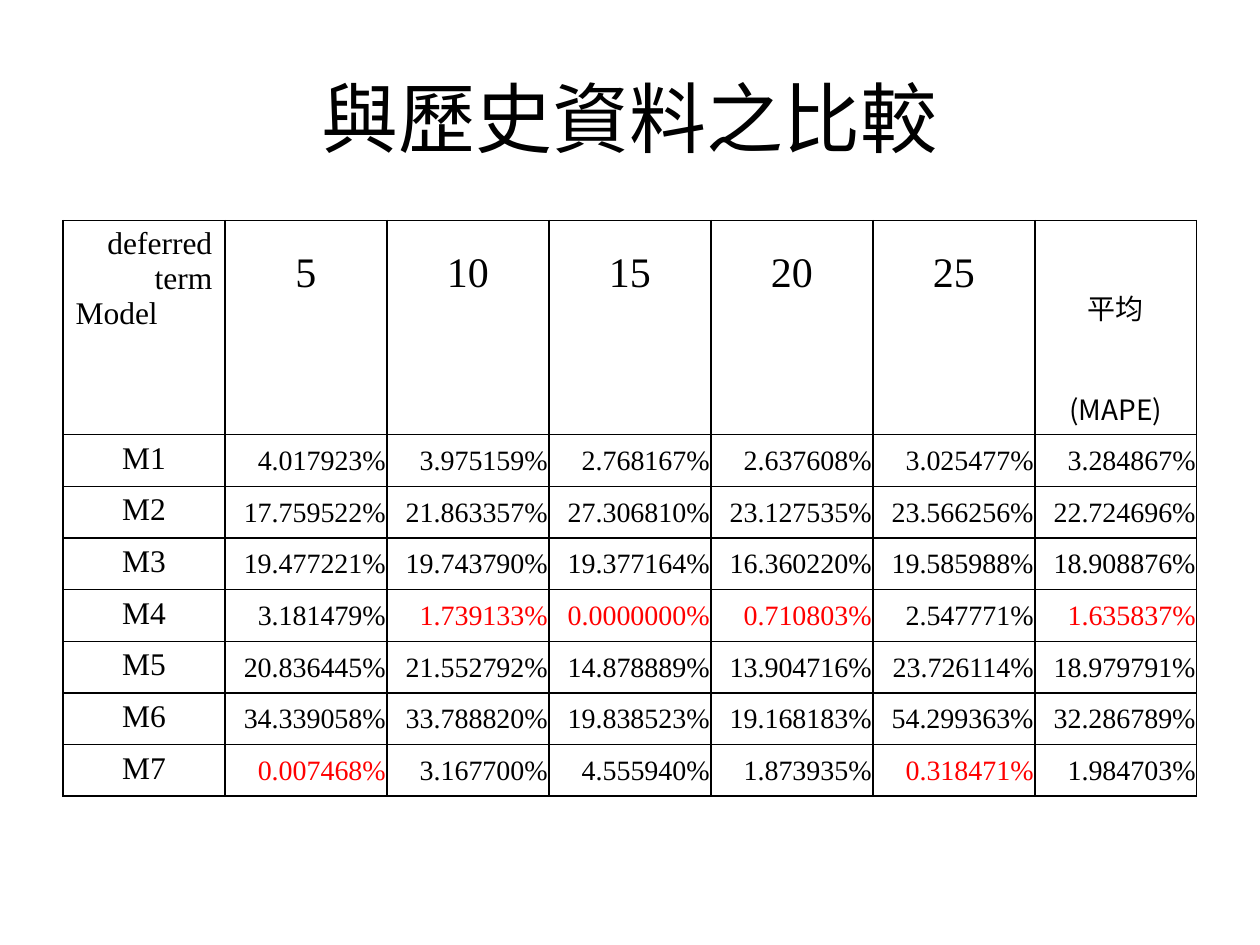
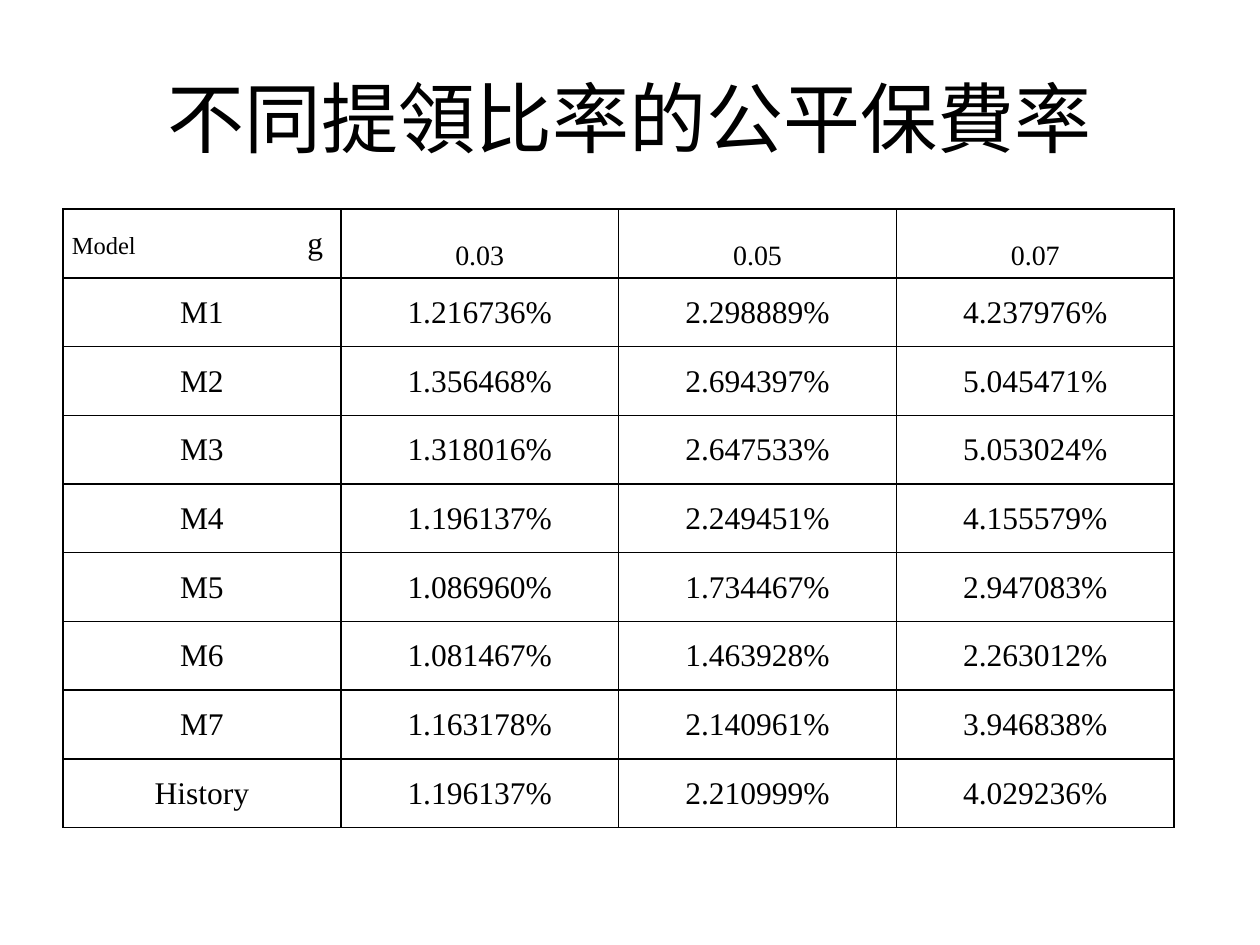
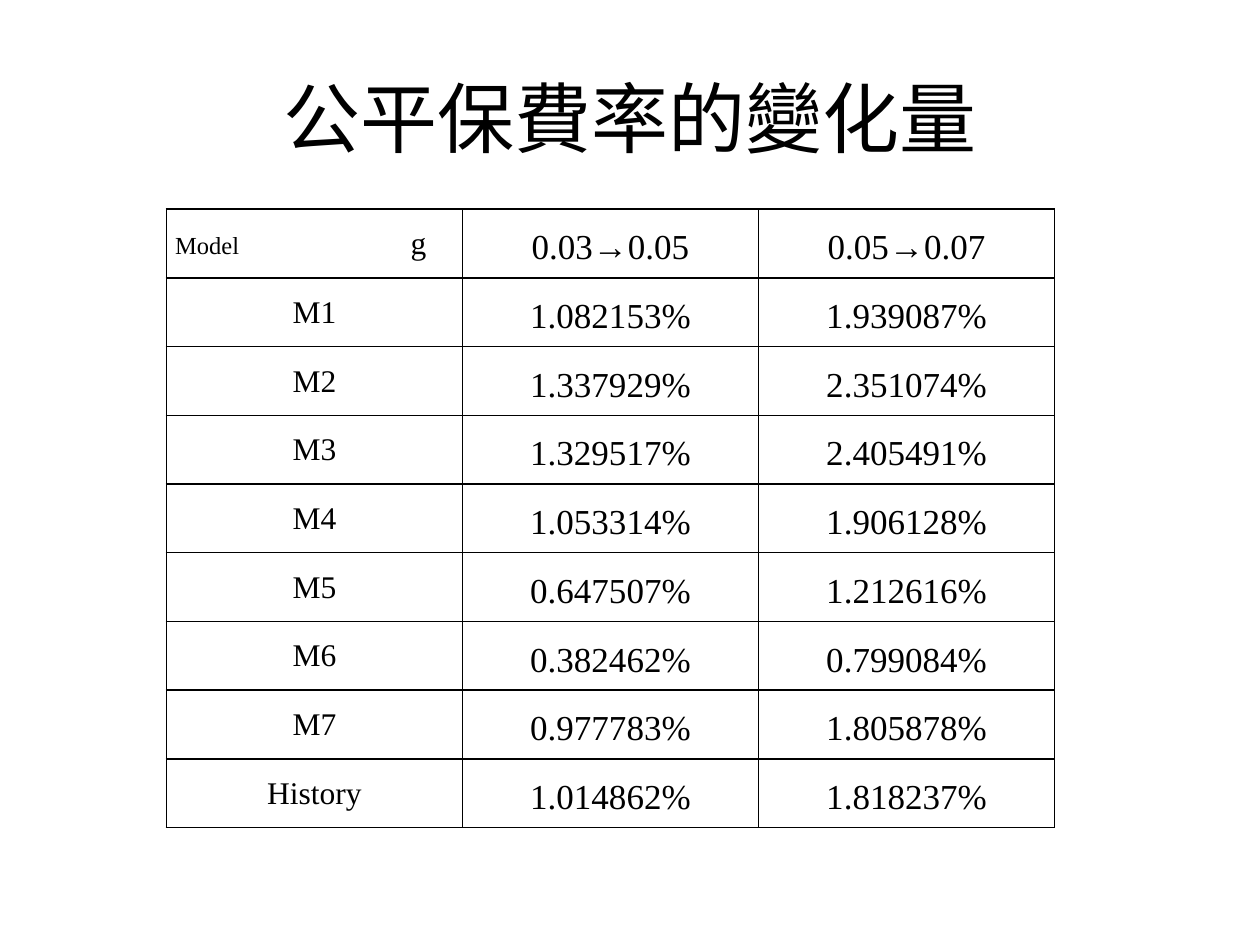
import pptx
import pptx.util
import pptx.dml.color
import pptx.enum.text
import pptx.oxml.ns
from lxml import etree

Inches, Pt = pptx.util.Inches, pptx.util.Pt
RGB = pptx.dml.color.RGBColor
ALIGN = pptx.enum.text.PP_ALIGN
MIDDLE = pptx.enum.text.MSO_ANCHOR.MIDDLE
qn = pptx.oxml.ns.qn

BLACK, RED = RGB(0, 0, 0), RGB(255, 0, 0)
SANS, SERIF = "Noto Sans CJK SC", "Times New Roman"
WIDE, HIGH = 10, 7.5
SIDE = WIDE / 20
TAB = 1.87           # place of "g" in the corner cell
SNUG = (0.01, 0.01, 0.01, 0)
FLAT = (0.07, 0, 0.07, 0)

# Content: first row is the header
ERRORS = [
    ("", "5", "10", "15", "20", "25", "平均(MAPE)"),
    ("M1", "4.017923%", "3.975159%", "2.768167%", "2.637608%", "3.025477%", "3.284867%"),
    ("M2", "17.759522%", "21.863357%", "27.306810%", "23.127535%", "23.566256%", "22.724696%"),
    ("M3", "19.477221%", "19.743790%", "19.377164%", "16.360220%", "19.585988%", "18.908876%"),
    ("M4", "3.181479%", "1.739133%", "0.0000000%", "0.710803%", "2.547771%", "1.635837%"),
    ("M5", "20.836445%", "21.552792%", "14.878889%", "13.904716%", "23.726114%", "18.979791%"),
    ("M6", "34.339058%", "33.788820%", "19.838523%", "19.168183%", "54.299363%", "32.286789%"),
    ("M7", "0.007468%", "3.167700%", "4.555940%", "1.873935%", "0.318471%", "1.984703%"),
]
RATES = [
    ("", "0.03", "0.05", "0.07"),
    ("M1", "1.216736%", "2.298889%", "4.237976%"),
    ("M2", "1.356468%", "2.694397%", "5.045471%"),
    ("M3", "1.318016%", "2.647533%", "5.053024%"),
    ("M4", "1.196137%", "2.249451%", "4.155579%"),
    ("M5", "1.086960%", "1.734467%", "2.947083%"),
    ("M6", "1.081467%", "1.463928%", "2.263012%"),
    ("M7", "1.163178%", "2.140961%", "3.946838%"),
    ("History", "1.196137%", "2.210999%", "4.029236%"),
]
SHIFTS = [
    ("", "0.03→0.05", "0.05→0.07"),
    ("M1", "1.082153%", "1.939087%"),
    ("M2", "1.337929%", "2.351074%"),
    ("M3", "1.329517%", "2.405491%"),
    ("M4", "1.053314%", "1.906128%"),
    ("M5", "0.647507%", "1.212616%"),
    ("M6", "0.382462%", "0.799084%"),
    ("M7", "0.977783%", "1.805878%"),
    ("History", "1.014862%", "1.818237%"),
]


def add_run(para, text, size, font=SERIF, color=BLACK):
    run = para.add_run()
    run.text = text
    run.font.size, run.font.name = Pt(size), font
    run.font.color.rgb = color
    etree.SubElement(run.font._element, qn("a:ea"), typeface=font)


def write(cell, text, size, align=ALIGN.CENTER, space=None, **look):
    para = cell.text_frame.paragraphs[0]
    para.alignment = align
    if space:
        para.line_spacing = space
    add_run(para, text, size, **look)


def set_pads(cell, pads):
    (cell.margin_left, cell.margin_top,
     cell.margin_right, cell.margin_bottom) = map(Inches, pads)


def add_lines(cell):
    props = cell._tc.get_or_add_tcPr()
    for pos, side in enumerate(("lnL", "lnR", "lnT", "lnB")):
        line = etree.Element(qn("a:" + side), w=str(Pt(1)))
        fill = etree.SubElement(line, qn("a:solidFill"))
        etree.SubElement(fill, qn("a:srgbClr"), val=str(BLACK))
        props.insert(pos, line)


def add_page(deck, title):
    page = deck.slides.add_slide(deck.slide_layouts[5])
    head = page.shapes.title
    head.left, head.top = Inches(SIDE), Inches(0.3)
    head.width, head.height = Inches(WIDE - 2 * SIDE), Inches(1.25)
    frame = head.text_frame
    frame.auto_size = pptx.enum.text.MSO_AUTO_SIZE.NONE
    frame.vertical_anchor = MIDDLE
    frame.paragraphs[0].alignment = ALIGN.CENTER
    add_run(frame.paragraphs[0], title, 44, SANS)
    return page


def add_grid(page, data, left, top, width, highs):
    rows, cols = len(data), len(data[0])
    grid = page.shapes.add_table(rows, cols, Inches(left), Inches(top),
                                 Inches(width), Inches(sum(highs))).table
    grid.first_row = grid.horz_banding = False
    for col in grid.columns:
        col.width = Inches(width / cols)
    for row, high in zip(grid.rows, highs):
        row.height = Inches(high)
    for cell in grid.iter_cells():
        cell.fill.background()
        add_lines(cell)
    return grid


def add_errors(deck, title, data):
    grid = add_grid(add_page(deck, title), data, SIDE, 1.75,
                    WIDE - 2 * SIDE, [0.53] + [0.41] * (len(data) - 1))
    # Corner cell
    frame = grid.cell(0, 0).text_frame
    for num, word in enumerate(("deferred", "term", "Model")):
        para = frame.add_paragraph() if num else frame.paragraphs[0]
        para.alignment = ALIGN.LEFT if word == "Model" else ALIGN.RIGHT
        add_run(para, word, 18)
    # Header row
    *terms, mean = data[0][1:]
    for c, term in enumerate(terms, 1):
        write(grid.cell(0, c), term, 24, space=1.5)
    write(grid.cell(0, len(terms) + 1), mean, 16, space=2.5, font=SANS)
    # Body: the lowest error of each column is red
    best = [min(col, key=lambda t: float(t.rstrip("%")))
            for col in list(zip(*data[1:]))[1:]]
    for r, (model, *values) in enumerate(data[1:], 1):
        write(grid.cell(r, 0), model, 18)
        for c, (value, low) in enumerate(zip(values, best), 1):
            cell = grid.cell(r, c)
            set_pads(cell, SNUG)
            cell.vertical_anchor = MIDDLE
            write(cell, value, 16, ALIGN.RIGHT,
                  color=RED if value == low else BLACK)


def add_fees(deck, title, data, left, width, top_size, top_space, size):
    grid = add_grid(add_page(deck, title), data, left, 1.66, width,
                    [4.91 / len(data)] * len(data))
    for cell in grid.iter_cells():
        set_pads(cell, FLAT)
    # Corner cell
    para = grid.cell(0, 0).text_frame.paragraphs[0]
    tabs = etree.SubElement(para._p.get_or_add_pPr(), qn("a:tabLst"))
    etree.SubElement(tabs, qn("a:tab"), pos=str(Inches(TAB)), algn="l")
    para.line_spacing = 1.5
    add_run(para, "Model\t", 14)
    add_run(para, "g", 18)
    # Header row, then body
    for c, rate in enumerate(data[0][1:], 1):
        write(grid.cell(0, c), rate, top_size, space=top_space)
    for r, line in enumerate(data[1:], 1):
        for c, text in enumerate(line):
            write(grid.cell(r, c), text, size if c else 18, space=1.5)


def main():
    deck = pptx.Presentation()
    deck.slide_width, deck.slide_height = Inches(WIDE), Inches(HIGH)
    add_errors(deck, "與歷史資料之比較", ERRORS)
    add_fees(deck, "不同提領比率的公平保費率", RATES, SIDE, 8.82, 16, 2, 18)
    add_fees(deck, "公平保費率的變化量", SHIFTS, 1.32, 7.05, 20, 1.5, 20)
    deck.save("out.pptx")


if __name__ == "__main__":
    main()
